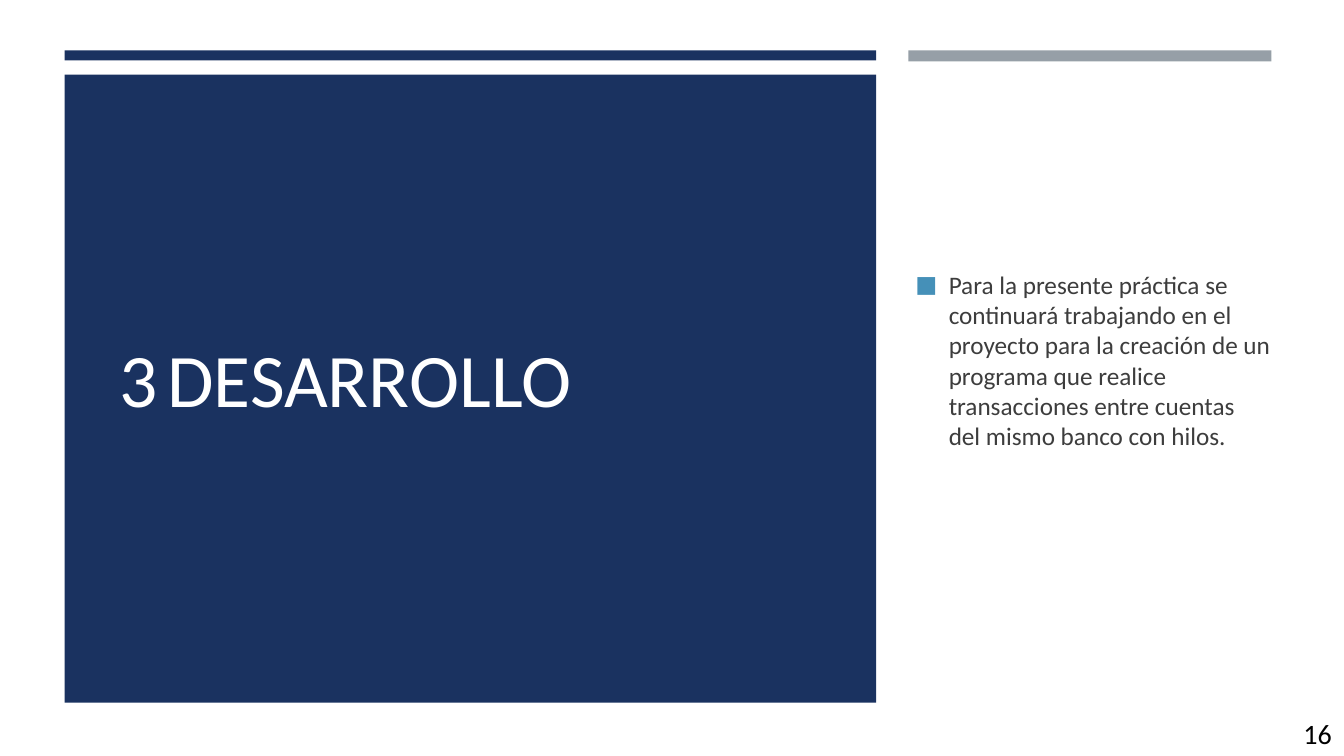
from lxml.etree import SubElement
from pptx import Presentation
from pptx.dml.color import RGBColor
from pptx.enum.shapes import MSO_SHAPE as Shape
from pptx.enum.text import MSO_ANCHOR as Anchor, MSO_AUTO_SIZE as AutoSize, PP_ALIGN as Align
from pptx.oxml.ns import qn
from pptx.util import Inches, Pt

TITLE = "3\tDESARROLLO"
BODY = (
    "Para la presente práctica se continuará trabajando en el proyecto para la "
    "creación de un programa que realice transacciones entre cuentas del mismo "
    "banco con hilos."
)
PAGE_NUMBER = "16"
FONT = "Calibri"
COLORS = {
    "navy": "1A3260",
    "gray": "969FA7",
    "white": "FFFFFF",
    "body": "3D3D3D",
    "bullet": "4590B8",
    "black": "000000",
}

WIDTH, HEIGHT = 13.33, 7.5
MARGIN, TOP = 0.64, 0.5
MAIN_WIDTH, SIDE_WIDTH, GUTTER = 8.05, 3.6, 0.32
SIDE_LEFT = MARGIN + MAIN_WIDTH + GUTTER
TEXT_TOP, TEXT_HEIGHT = 1.26, 4.96
NUMBER_WIDTH, NUMBER_HEIGHT = 0.5, 0.44
INDENT = 0.33
TITLE_TAB = 0.47

BLOCKS = [
    ((MARGIN, TOP, MAIN_WIDTH, 0.1), "navy"),
    ((SIDE_LEFT, TOP, SIDE_WIDTH, 0.11), "gray"),
    ((MARGIN, 0.74, MAIN_WIDTH, 6.23), "navy"),
]


def add_block(slide, box, color):
    shape = slide.shapes.add_shape(Shape.RECTANGLE, *map(Inches, box))
    shape.shadow.inherit = False
    shape.fill.solid()
    shape.fill.fore_color.rgb = RGBColor.from_string(COLORS[color])
    shape.line.fill.background()


def write_text(shape, text, *, box, size, color, anchor=Anchor.MIDDLE, bottom=0.05):
    shape.left, shape.top, shape.width, shape.height = map(Inches, box)
    frame = shape.text_frame
    frame.text = text
    frame.word_wrap = True
    frame.auto_size = AutoSize.NONE
    frame.vertical_anchor = anchor
    frame.margin_bottom = Inches(bottom)
    paragraph = frame.paragraphs[0]
    paragraph.alignment = Align.LEFT
    paragraph.space_before = Pt(0)
    font = paragraph.runs[0].font
    font.name = FONT
    font.size = Pt(size)
    font.color.rgb = RGBColor.from_string(COLORS[color])
    return paragraph._p.get_or_add_pPr()


def add_tab_stop(properties, position):
    tabs = SubElement(properties, qn("a:tabLst"))
    SubElement(tabs, qn("a:tab"), pos=str(Inches(position)), algn="l")


def add_bullet(properties):
    properties.set("marL", str(Inches(INDENT)))
    properties.set("indent", str(-Inches(INDENT)))
    color = SubElement(properties, qn("a:buClr"))
    SubElement(color, qn("a:srgbClr"), val=COLORS["bullet"])
    SubElement(properties, qn("a:buSzPct"), val="92000")
    SubElement(properties, qn("a:buFont"), typeface=FONT)
    SubElement(properties, qn("a:buChar"), char="■")


def main():
    presentation = Presentation()
    presentation.slide_width = Inches(WIDTH)
    presentation.slide_height = Inches(HEIGHT)
    slide = presentation.slides.add_slide(presentation.slide_layouts[1])
    title, body = slide.placeholders
    for box, color in BLOCKS:
        add_block(slide, box, color)
    for placeholder in (title, body):
        slide.shapes._spTree.append(placeholder._element)

    properties = write_text(title, TITLE, box=(1.09, TEXT_TOP, 7.2, TEXT_HEIGHT),
                            size=54, color="white")
    add_tab_stop(properties, TITLE_TAB)
    properties = write_text(body, BODY, box=(8.98, TEXT_TOP, 3.72, TEXT_HEIGHT),
                            size=18, color="body", bottom=0.39)
    add_bullet(properties)

    number_box = (WIDTH - NUMBER_WIDTH, HEIGHT - NUMBER_HEIGHT, NUMBER_WIDTH, NUMBER_HEIGHT)
    number = slide.shapes.add_textbox(*map(Inches, number_box))
    write_text(number, PAGE_NUMBER, box=number_box, size=20, color="black", anchor=Anchor.TOP)
    presentation.save("out.pptx")


if __name__ == "__main__":
    main()
